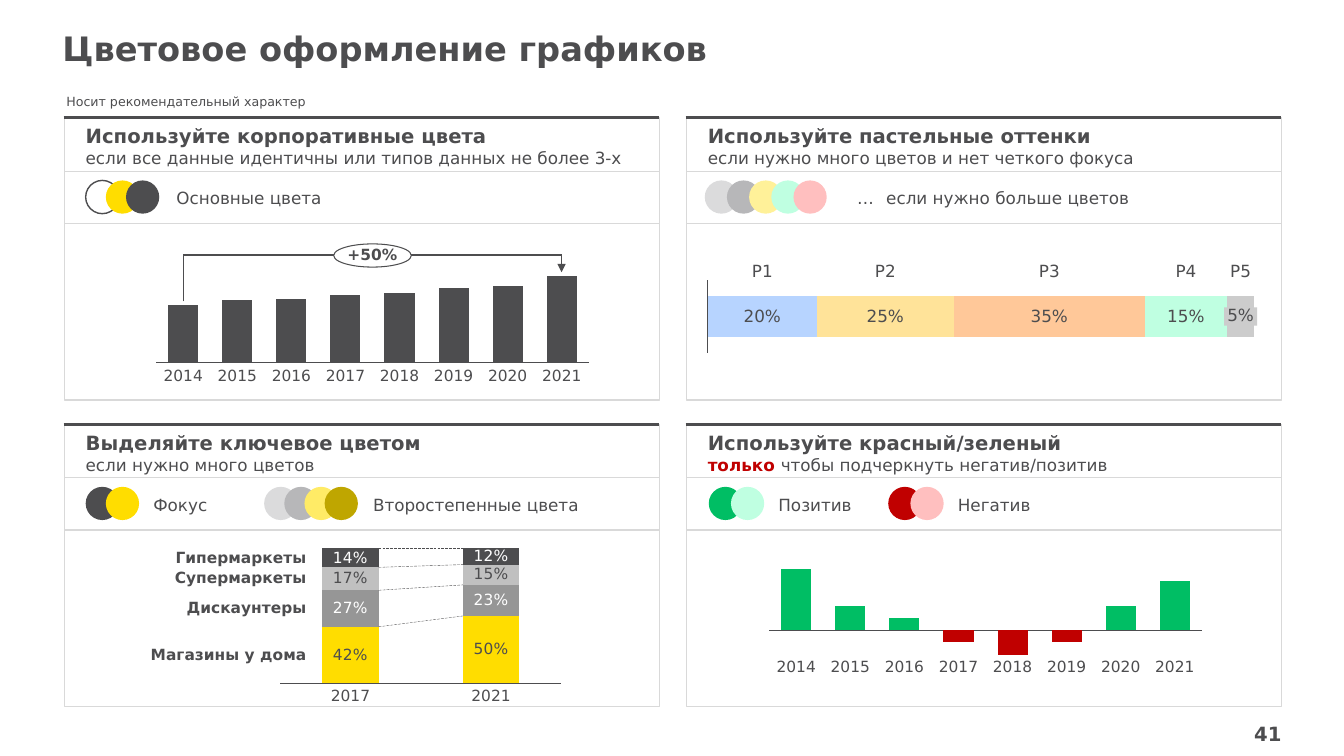
from itertools import accumulate
from lxml import etree
from pptx import Presentation
from pptx.chart.data import CategoryChartData
from pptx.dml.color import RGBColor
from pptx.enum.chart import XL_CHART_TYPE, XL_TICK_LABEL_POSITION, XL_TICK_MARK
from pptx.enum.dml import MSO_LINE
from pptx.enum.shapes import MSO_CONNECTOR, MSO_SHAPE
from pptx.enum.text import MSO_ANCHOR, PP_ALIGN
from pptx.oxml import parse_xml
from pptx.oxml.ns import nsdecls, qn
from pptx.util import Inches, Pt

COLUMN, BAR = XL_CHART_TYPE.COLUMN_STACKED, XL_CHART_TYPE.BAR_STACKED
LEFT, MID, RIGHT = PP_ALIGN.LEFT, PP_ALIGN.CENTER, PP_ALIGN.RIGHT
TOP, CENTER, BOTTOM = MSO_ANCHOR.TOP, MSO_ANCHOR.MIDDLE, MSO_ANCHOR.BOTTOM
OVAL, RECT = MSO_SHAPE.OVAL, MSO_SHAPE.RECTANGLE
FONT = "DejaVu Sans"

# Content
HEX = {
    "ink": "4D4D4F", "white": "FFFFFF", "rule": "D9D9D9", "yellow": "FFDD00",
    "red": "C00000", "rose": "FFBFBF", "green": "00BE64", "mint": "BFFFE1",
    "fog": "DBDBDC", "ash": "B7B7B9", "lemon": "FFF199", "sun": "FFEB66",
    "olive": "BFA600", "mid": "969696", "silver": "C0C0C0", "pale": "CCCCCC",
    "sky": "B7D4FF", "sand": "FFE399", "peach": "FFC899",
}
COLS, ROWS = (0.64, 6.81), (1.17, 4.21)
WIDE, HIGH = 5.9, 2.8
# column, row, heading, runs of the second line (text, bold, colour)
PANELS = [
    (0, 0, "Используйте корпоративные цвета",
     [("если все данные идентичны или типов данных не более 3-х", False, "ink")]),
    (1, 0, "Используйте пастельные оттенки",
     [("если нужно много цветов и нет четкого фокуса", False, "ink")]),
    (0, 1, "Выделяйте ключевое цветом", [("если нужно много цветов", False, "ink")]),
    (1, 1, "Используйте красный/зеленый",
     [("только ", True, "red"), ("чтобы подчеркнуть негатив/позитив", False, "ink")]),
]
# row, left, step, colours
DOTS = [
    (0, 0.85, 0.2, ["white", "yellow", "ink"]),
    (0, 6.99, 0.22, ["fog", "ash", "lemon", "mint", "rose"]),
    (1, 0.85, 0.2, ["ink", "yellow"]),
    (1, 2.62, 0.2, ["fog", "ash", "sun", "olive"]),
    (1, 7.03, 0.22, ["green", "mint"]),
    (1, 8.81, 0.22, ["red", "rose"]),
]
# row, left, width, text
KEYS = [
    (0, 1.7, 3.47, "Основные цвета"), (0, 8.45, 0.41, "…"),
    (0, 8.74, 2.67, "если нужно больше цветов"), (1, 1.47, 0.82, "Фокус"),
    (1, 3.65, 2.83, "Второстепенные цвета"), (1, 7.67, 1.05, "Позитив"),
    (1, 9.45, 1.05, "Негатив"),
]
YEARS = [str(y) for y in range(2014, 2022)]
GROWTH = [67, 72, 74, 78, 81, 87, 89, 100]
SWING = [100, 40, 20, -20, -40, -20, 40, 80]
# name, values, fill, label colour
SHOPS = [
    ("Магазины у дома", [42, 50], "yellow", "ink"),
    ("Дискаунтеры", [27, 23], "mid", "white"),
    ("Супермаркеты", [17, 15], "silver", "ink"),
    ("Гипермаркеты", [14, 12], "ink", "white"),
]
PARTS = [("P1", [20], "sky", "ink"), ("P2", [25], "sand", "ink"),
         ("P3", [35], "peach", "ink"), ("P4", [15], "mint", "ink"),
         ("P5", [14], "pale", None)]
SHARES = [20, 25, 35, 15, 5]

deck = Presentation()
deck.slide_width, deck.slide_height = Inches(13.33), Inches(7.5)
slide = deck.slides.add_slide(deck.slide_layouts[6])
shapes = slide.shapes


def rgb(name):
    return RGBColor.from_string(HEX[name])


def box(at):
    return [Inches(v) for v in at]


def style(font, size, bold=False, color="ink"):
    font.name, font.size, font.bold = FONT, Pt(size), bold
    font.color.rgb = rgb(color)


def write(shape, text, size, bold=False, align=LEFT, anchor=TOP,
          pad=(0, 0, 0, 0), wrap=True, space=None):
    frame = shape.text_frame
    frame.word_wrap, frame.vertical_anchor = wrap, anchor
    (frame.margin_left, frame.margin_top,
     frame.margin_right, frame.margin_bottom) = box(pad)
    para = frame.paragraphs[0]
    para.text, para.alignment = text, align
    if space:
        para.line_spacing = space
    style(para.font, size, bold)
    return frame


def label(at, text, size, **look):
    return write(shapes.add_textbox(*box(at)), text, size, **look)


def tag(x, y, text, size=11, align=MID, **look):
    """Short chart label, x is its centre or its right edge."""
    width = 0.4 if align == MID else 1.7
    left = x - (width / 2 if align == MID else width)
    label((left, y, width, size / 68), text, size, align=align,
          wrap=align == RIGHT, space=0.9, **look)


def form(kind, at, fill=None, edge=None, width=1):
    shape = shapes.add_shape(kind, *box(at))
    shape.shadow.inherit = False
    if fill:
        shape.fill.solid()
        shape.fill.fore_color.rgb = rgb(fill)
    else:
        shape.fill.background()
    if edge:
        shape.line.color.rgb, shape.line.width = rgb(edge), Pt(width)
    else:
        shape.line.fill.background()
    return shape


def rule(x1, y1, x2, y2, color="ink", width=1):
    line = shapes.add_connector(MSO_CONNECTOR.STRAIGHT, *box((x1, y1, x2, y2)))
    line.line.color.rgb, line.line.width = rgb(color), Pt(width)
    etree.SubElement(line._element.spPr, qn("a:effectLst"))
    return line


def graph(kind, at, cats, series, plot, gap, low=0, size=10):
    """Stacked chart; returns left, top, width, height of its plot."""
    data = CategoryChartData(number_format='0"%"')
    data.categories = cats
    for name, vals, *_ in series:
        data.add_series(name, vals)
    chart = shapes.add_chart(kind, *box(at), data).chart
    chart.has_legend = chart.has_title = False
    style(chart.font, 10)
    cat, val = chart.category_axis, chart.value_axis
    cat.tick_label_position = XL_TICK_LABEL_POSITION.NONE
    cat.major_tick_mark = cat.minor_tick_mark = XL_TICK_MARK.NONE
    cat.format.line.color.rgb, cat.format.line.width = rgb("ink"), Pt(0.75)
    cat.reverse_order = kind == BAR
    val.minimum_scale, val.maximum_scale = low, 100
    val.has_major_gridlines = val.visible = False
    bars = chart.plots[0]
    bars.gap_width, bars.overlap, bars.vary_by_categories = gap, 100, False
    for item, (_, vals, fill, ink) in zip(bars.series, series):
        item.invert_if_negative = False
        item.format.fill.solid()
        item.format.fill.fore_color.rgb = rgb(fill)
        for i, v in enumerate(vals):
            if v < 0:
                spot = item.points[i].format.fill
                spot.solid()
                spot.fore_color.rgb = rgb("red")
        if ink:
            marks = item.data_labels
            marks.show_value = True
            marks.number_format, marks.number_format_is_linked = '0"%"', False
            style(marks.font, size, color=ink)
    area = chart._chartSpace.find(".//" + qn("c:plotArea"))
    for old in area.findall(qn("c:layout")):
        area.remove(old)
    spots = "".join(f'<c:{k} val="{v}"/>' for k, v in zip("xywh", plot))
    area.insert(0, parse_xml(
        f'<c:layout {nsdecls("c")}><c:manualLayout><c:layoutTarget val="inner"/>'
        f'<c:xMode val="edge"/><c:yMode val="edge"/>{spots}'
        '</c:manualLayout></c:layout>'))
    x, y, w, h = at
    return x + plot[0] * w, y + plot[1] * h, plot[2] * w, plot[3] * h


# Title, note and page number
label((0.62, 0.28, 10.94, 0.4), "Цветовое оформление графиков", 24, bold=True)
label((0.56, 0.82, 2.93, 0.37), "Носит рекомендательный характер", 9,
      anchor=CENTER, pad=(0.1, 0.05, 0.1, 0.05))
label((12.14, 7.16, 0.57, 0.24), "41", 14, bold=True, align=RIGHT, anchor=CENTER)

# Panels
for col, row, head, runs in PANELS:
    x, y = COLS[col], ROWS[row]
    form(RECT, (x, y, WIDE, HIGH), edge="rule")
    for drop in (0.53, 1.05):
        rule(x, y + drop, x + WIDE, y + drop, "rule")
    rule(x - 0.01, y, x + WIDE, y, width=2.25)
    frame = label((x + 0.21, y + 0.06, 5.63, 0.44), head, 14, bold=True, anchor=CENTER)
    para = frame.add_paragraph()
    for text, bold, color in runs:
        run = para.add_run()
        run.text = text
        style(run.font, 12, bold, color)

# Colour keys
for row, x, step, fills in DOTS:
    for i, fill in enumerate(fills):
        form(OVAL, (x + i * step, ROWS[row] + 0.62, 0.33, 0.33), fill,
             "ink" if fill == "white" else None)
for row, x, width, text in KEYS:
    label((x, ROWS[row] + 0.6, width, 0.39), text, 12, anchor=CENTER,
          pad=(0.05, 0.1, 0.08, 0.1))

# Yearly column charts
PLOT = (0.02, 0.09, 0.96, 0.83)
for x, y, vals, fill, low, base in [(1.46, 2.65, GROWTH, "ink", 0, 3.65),
                                    (7.54, 5.55, SWING, "green", -40, 6.54)]:
    left, _, width, _ = graph(COLUMN, (x, y, 4.47, 1.03), YEARS,
                              [("Series 1", vals, fill, None)], PLOT, 80, low)
    for i, year in enumerate(YEARS):
        tag(left + (i + 0.5) * width / len(YEARS), base, year)

# Growth bracket
rule(1.82, 2.99, 1.82, 2.53)
rule(1.82, 2.53, 5.57, 2.53)
arrow = rule(5.57, 2.53, 5.57, 2.7)
etree.SubElement(arrow.line._get_or_add_ln(), qn("a:tailEnd"), type="triangle")
write(form(OVAL, (3.31, 2.42, 0.77, 0.23), "white", "ink", 0.75), "+50%", 11,
      bold=True, align=MID, anchor=CENTER, wrap=False, space=0.9)

# Shop formats
left, top, width, height = graph(COLUMN, (2.69, 5.17, 2.97, 1.88), ["2017", "2021"],
                                 SHOPS, (0.03, 0.144, 0.939, 0.713), 150, size=11)
slot = width / 2
half = slot / 2.5 / 2
for i, year in enumerate(("2017", "2021")):
    tag(left + (i + 0.5) * slot, 6.83, year)
first, last = ([top + height * (1 - s / 100) for s in accumulate(shop[1][i] for shop in SHOPS)]
               for i in (0, 1))
for (name, vals, *_), y1, y2 in zip(SHOPS, first, last):
    dash = rule(left + slot / 2 + half, y1, left + slot * 1.5 - half, y2, width=0.25)
    dash.line.dash_style = MSO_LINE.LONG_DASH
    tag(3.04, y1 + height * vals[0] / 200 - 0.08, name, align=RIGHT,
        bold=True, anchor=CENTER)

# Pastel bar
left, _, width, _ = graph(BAR, (6.93, 2.49, 5.6, 1.3), ["1"], PARTS,
                          (0.016, 0.225, 0.968, 0.551), 80, size=12)
for (name, *_), share, end in zip(PARTS, SHARES, accumulate(SHARES)):
    tag(left + width * (end - share / 2) / 100, 2.61, name, 12, anchor=BOTTOM)
write(form(RECT, (12.14, 3.05, 0.33, 0.18), "pale"), "5%", 12, align=MID,
      anchor=CENTER, pad=(0.02, 0, 0.02, 0), wrap=False, space=0.9)

deck.save("out.pptx")
